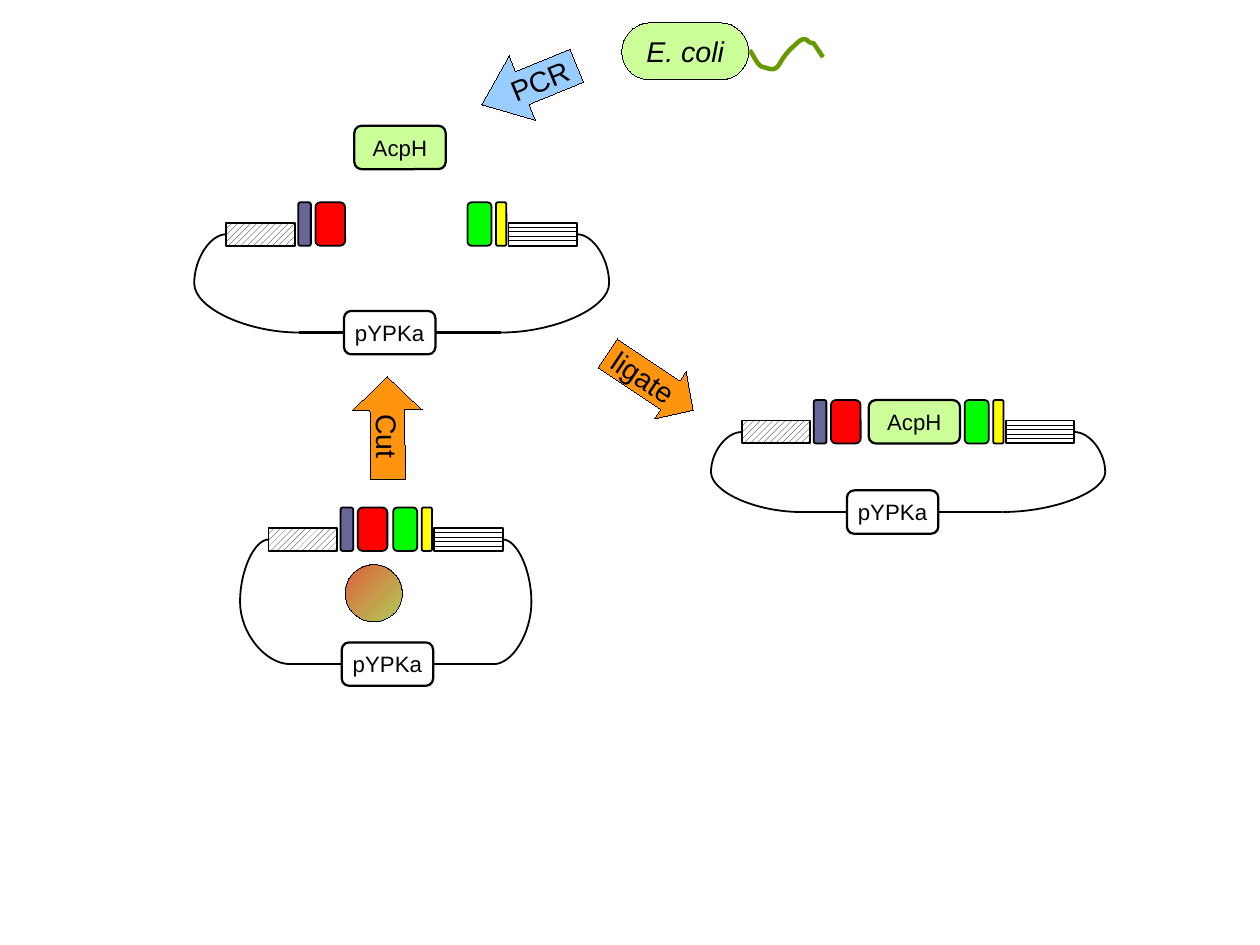
"""Draw the cloning of AcpH into the pYPKa plasmid."""
from lxml.etree import SubElement
from pptx import Presentation
from pptx.dml.color import RGBColor
from pptx.enum.dml import MSO_PATTERN
from pptx.enum.shapes import MSO_CONNECTOR, MSO_SHAPE
from pptx.enum.text import MSO_ANCHOR, PP_ALIGN
from pptx.oxml.ns import qn
from pptx.util import Cm, Inches, Pt

BLACK, WHITE, LIME, ORANGE = "000000", "FFFFFF", "CCFF99", "FF950E"
HAIR, THIN, THICK = 0.01, 1.13, 1.42
ROUND, RECT = MSO_SHAPE.ROUNDED_RECTANGLE, MSO_SHAPE.RECTANGLE
ARROW, OVAL = MSO_SHAPE.RIGHT_ARROW, MSO_SHAPE.OVAL

# left bar, right bar, top, backbone left and top, arc ends, bulge
PLASMIDS = [
    (1.98, 4.45, 1.77, 3.01, 2.72, 2.62, 4.38, 0.28),
    (2.35, 3.80, 4.44, 2.99, 5.62, 2.54, 4.32, 0.25),
    (6.49, 8.80, 3.50, 7.41, 4.29, 7.01, 8.77, 0.27),
]
# side (0 left bar, 1 right bar), offset from it, width, colour
GENES = [
    (0, 0.63, 0.11, "666699"),
    (0, 0.78, 0.26, "FF0000"),
    (1, -0.36, 0.21, "00FF00"),
    (1, -0.11, 0.09, "FFFF00"),
]
HATCHES = [MSO_PATTERN.WIDE_UPWARD_DIAGONAL, MSO_PATTERN.HORIZONTAL]
BAR_W, BAR_H, GENE_H, TAG_W = 0.6, 0.2, 0.38, 0.8
INSERTS = [(3.1, 1.1), (7.6, 3.5)]
# text, box, turn, upside down, adjustments, colour
ARROWS = [
    ("ligate", (5.24, 3.09, 0.9, 0.5), 33.7, False, (0.6, 0.48), ORANGE),
    ("PCR", (4.18, 0.44, 0.9, 0.61), 157.7, True, (0.51, 0.63), "99CCFF"),
    ("Cut", (2.94, 3.44, 0.9, 0.61), 269.7, True, (0.5, 0.48), ORANGE),
]
TAIL = [
    (6.56, 0.44), (6.60, 0.49), (6.63, 0.59), (6.69, 0.59),
    (6.73, 0.60), (6.78, 0.63), (6.82, 0.56),
    (6.86, 0.49), (6.90, 0.44), (6.95, 0.40),
    (6.99, 0.36), (7.04, 0.31), (7.08, 0.37),
]
TIP = [(7.12, 0.38), (7.16, 0.44), (7.20, 0.50)]


def rgb(code):
    return RGBColor.from_string(code)


def stroke(item, width, color=BLACK):
    item.line.color.rgb = rgb(color)
    item.line.width = Pt(width)


def shape(kind, box, fill, width, adjust=()):
    item = shapes.add_shape(kind, *map(Inches, box))
    item.shadow.inherit = False
    if fill:
        item.fill.solid()
        item.fill.fore_color.rgb = rgb(fill)
    else:
        item.fill.background()
    stroke(item, width)
    for i, value in enumerate(adjust):
        item.adjustments[i] = value
    return item


def label(item, text, size, slant=False):
    frame = item.text_frame
    frame.text = text
    frame.word_wrap = False
    frame.vertical_anchor = MSO_ANCHOR.MIDDLE
    para = frame.paragraphs[0]
    para.alignment = PP_ALIGN.CENTER
    font = para.runs[0].font
    font.name, font.size, font.italic = "Arial", Pt(size), slant
    font.color.rgb = rgb(BLACK)


def tag(left, top, text, fill):
    item = shape(ROUND, (left, top, TAG_W, GENE_H), fill, THICK, (0.167,))
    label(item, text, 14)
    return item


def link(kind, start, end, width):
    item = shapes.add_connector(kind, *map(Inches, start + end))
    stroke(item, width)
    SubElement(item.element.spPr, qn("a:effectLst"))
    return item


def arc(start, end, bulge):
    item = link(MSO_CONNECTOR.CURVE, start, end, THIN)
    ratio = -bulge / abs(end[0] - start[0])
    guides = item.element.spPr.find(qn("a:prstGeom")).get_or_add_avLst()
    SubElement(guides, qn("a:gd"), name="adj1", fmla=f"val {round(ratio * 100000)}")


def plasmid(left, right, top, tag_x, tag_y, arc_l, arc_r, bulge):
    bars = (left, right)
    for x, hatch in zip(bars, HATCHES):
        bar = shape(RECT, (x, top + GENE_H - BAR_H, BAR_W, BAR_H), WHITE, THIN)
        bar.fill.patterned()
        bar.fill.pattern = hatch
        bar.fill.fore_color.rgb = rgb(BLACK)
        bar.fill.back_color.rgb = rgb(WHITE)
    for side, shift, width, color in GENES:
        box = (bars[side] + shift, top, width, GENE_H)
        shape(ROUND, box, color, THIN, (0.167,))
    mid, low = top + GENE_H - BAR_H / 2, tag_y + GENE_H / 2
    back = tag(tag_x, tag_y, "pYPKa", None)
    ends = [(left, arc_l, tag_x, 1), (right + BAR_W, arc_r, tag_x + TAG_W, 3)]
    for outer, inner, edge, site in ends:
        arc((outer, mid), (inner, low), bulge)
        line = link(MSO_CONNECTOR.STRAIGHT, (edge, low), (inner, low), THICK)
        line.begin_connect(back, site)


def bezier(a, b, c, d, steps=8):
    for i in range(1, steps + 1):
        t = i / steps
        u = 1 - t
        yield tuple(
            u**3 * p + 3 * u * u * t * q + 3 * u * t * t * r + t**3 * s
            for p, q, r, s in zip(a, b, c, d)
        )


def cell():
    body = shape(ROUND, (5.44, 0.2, 1.11, 0.5), LIME, HAIR, (0.5,))
    label(body, "E. coli", 18, True)
    points = [p for i in range(0, len(TAIL) - 1, 3) for p in bezier(*TAIL[i:i + 4])]
    pen = shapes.build_freeform(*map(Inches, TAIL[0]))
    pen.add_line_segments([tuple(map(Inches, p)) for p in points + TIP], close=False)
    tail = pen.convert_to_shape()
    tail.shadow.inherit = False
    tail.fill.background()
    stroke(tail, 2.83, "669900")


def enzyme():
    item = shape(OVAL, (3.02, 4.94, 0.5, 0.5), LIME, HAIR)
    item.fill.gradient()
    item.fill.gradient_angle = 315
    for stop, color in zip(item.fill.gradient_stops, ("E0603C", "B0CC58")):
        stop.color.rgb = rgb(color)


deck = Presentation()
deck.slide_width = Cm(28)
deck.slide_height = Cm(21)
shapes = deck.slides.add_slide(deck.slide_layouts[6]).shapes
for row in PLASMIDS:
    plasmid(*row)
for x, y in INSERTS:
    tag(x, y, "AcpH", LIME)
enzyme()
cell()
for text, box, turn, flip, adjust, color in ARROWS:
    arrow = shape(ARROW, box, color, HAIR, adjust)
    arrow.rotation = turn
    if flip:
        arrow.element.spPr.xfrm.set("flipV", "1")
    label(arrow, text, 18)
deck.save("out.pptx")
